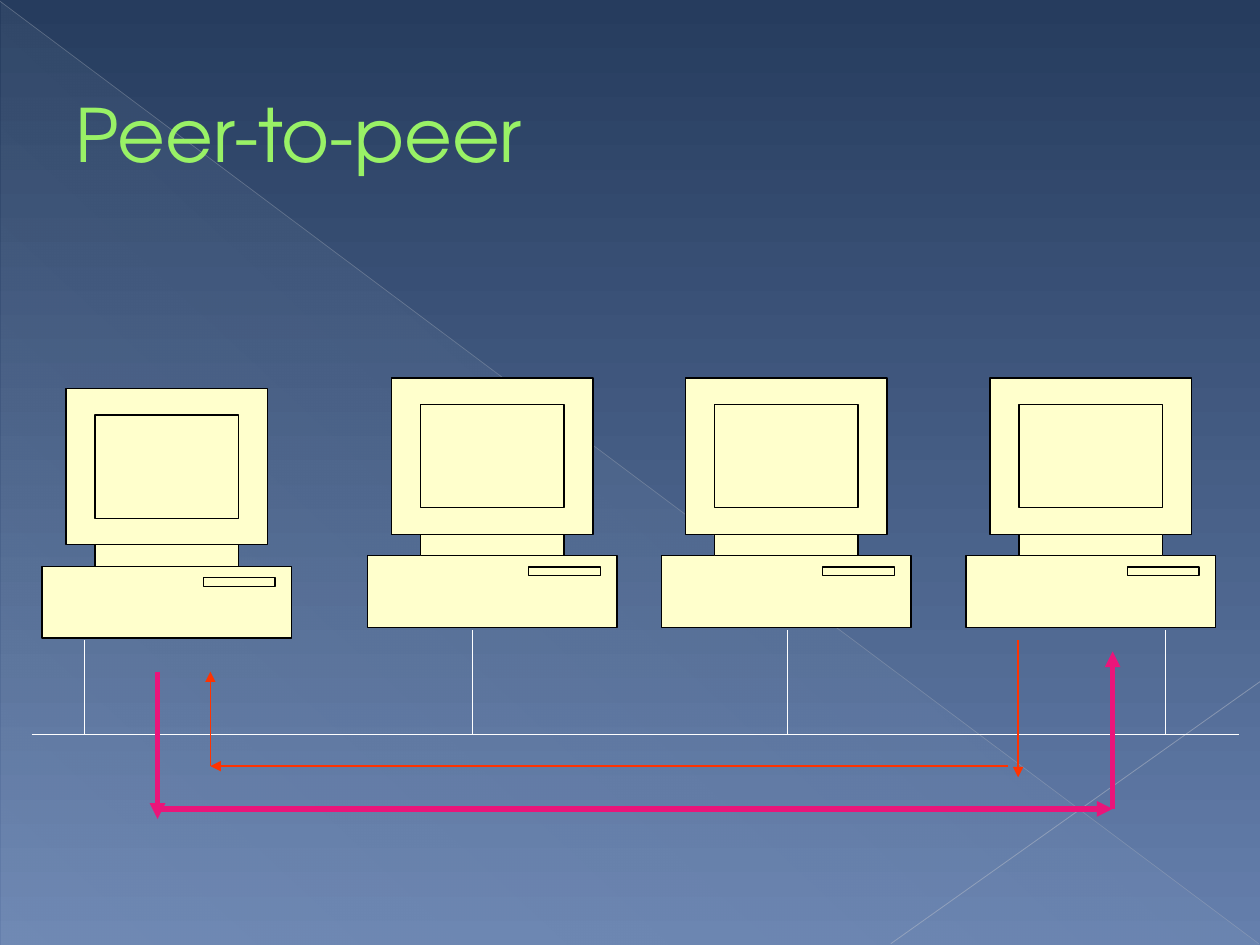
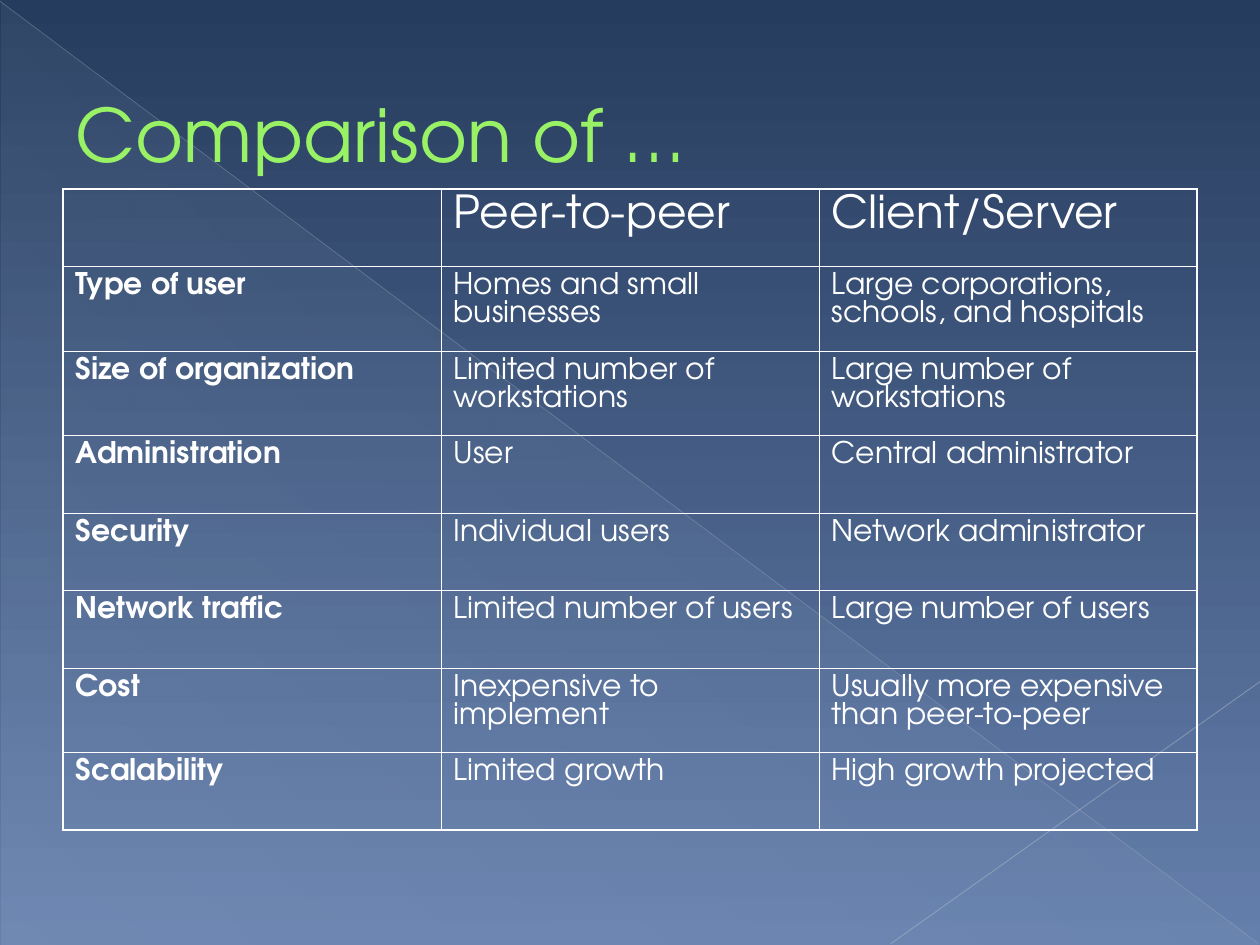
from lxml.etree import SubElement
from pptx import Presentation
from pptx.dml.color import RGBColor
from pptx.enum.shapes import MSO_CONNECTOR, MSO_SHAPE
from pptx.enum.text import MSO_ANCHOR, PP_ALIGN
from pptx.oxml.ns import qn
from pptx.util import Inches, Pt

FONT = "TeX Gyre Adventor"
HUES = {
    "navy": "263C5E", "steel": "657FAC", "sheen": "D6ECFF",
    "slant": "B6BCC5", "corner": "BFC3CC", "title": "99F166",
    "cream": "FFFFCC", "black": "000000", "white": "FFFFFF",
    "pink": "EA157A", "red": "FF3300",
}
HUES = {name: RGBColor.from_string(code) for name, code in HUES.items()}


def shade(fill, hues, angle):
    """Fill with a two-stop gradient; the angle runs counter-clockwise."""
    fill.gradient()
    fill.gradient_angle = angle
    for stop, hue in zip(fill.gradient_stops, hues):
        stop.color.rgb = HUES[hue]


def wire(slide, ends, hue, width, alpha=None, tip=False):
    """Draw a straight line through ends (x1, y1, x2, y2), in inches."""
    link = slide.shapes.add_connector(MSO_CONNECTOR.STRAIGHT, *map(Inches, ends))
    link.line.color.rgb = HUES[hue]
    link.line.width = Pt(width)
    props = link.element.spPr
    if alpha:
        SubElement(props.find(".//" + qn("a:srgbClr")), qn("a:alpha"), val=str(alpha * 1000))
    if tip:
        SubElement(props.find(qn("a:ln")), qn("a:tailEnd"), type="triangle")
    SubElement(props, qn("a:effectLst"))
    return link


deck = Presentation()
deck.slide_width, deck.slide_height = Inches(10), Inches(7.5)
shade(deck.slide_master.background.fill, ("navy", "steel"), 270)
layout = deck.slide_layouts[5]
for holder in list(layout.placeholders)[1:]:
    holder.element.getparent().remove(holder.element)

# Titles
slides = []
for text in ("Peer-to-peer", "Comparison of …"):
    slide = deck.slides.add_slide(layout)
    title = slide.shapes.title
    title.left, title.top = Inches(0.5), Inches(0.29)
    title.width, title.height = Inches(9), Inches(1.53)
    title.text_frame.text = text
    title.text_frame.vertical_anchor = MSO_ANCHOR.MIDDLE
    para = title.text_frame.paragraphs[0]
    para.alignment = PP_ALIGN.LEFT
    font = para.runs[0].font
    font.name, font.size = FONT, Pt(42)
    font.color.rgb = HUES["title"]
    slides.append(slide)
peers, compare = slides

# Backdrop, built once and moved to the shared layout
sheen = peers.shapes.add_shape(
    MSO_SHAPE.RIGHT_TRIANGLE, Inches(0.01), Inches(0.02), Inches(9.99), Inches(7.48))
sheen.shadow.inherit = False
sheen.line.fill.background()
shade(sheen.fill, ("sheen", "sheen"), 227)
for color, alpha in zip(sheen.element.spPr.iter(qn("a:srgbClr")), (1, 10)):
    SubElement(color, qn("a:alpha"), val=str(alpha * 1000))
slant = wire(peers, (0, 0.01, 9.99, 7.49), "slant", 0.4, alpha=35)
corner = wire(peers, (10, 5.41, 7.07, 7.49), "corner", 0.48, alpha=45)
for place, part in enumerate((sheen, slant, corner), start=2):
    layout.shapes.element.insert(place, part.element)

# Computers, placed on a grid of twelfths of an inch
case = [(1.56, 1.41), (1.56, 1.24), (1.79, 1.24), (1.79, 0), (0.19, 0), (0.19, 1.24),
        (0.42, 1.24), (0.42, 1.41), (0, 1.41), (0, 1.98), (1.98, 1.98), (1.98, 1.41)]
neck, screen, slot = [
    [(x1, y1), (x2, y1), (x2, y2), (x1, y2)]
    for x1, y1, x2, y2 in ((0.42, 1.24, 1.56, 1.41), (0.42, 0.21, 1.56, 1.03),
                           (1.28, 1.5, 1.85, 1.57))]
for left, top in ((4, 37), (35, 36), (63, 36), (92, 36)):
    pen = None
    for outline in (case, neck, screen, slot):
        start, *rest = [(Inches(left / 12 + x), Inches(top / 12 + y)) for x, y in outline]
        if pen:
            pen.move_to(*start)
        else:
            pen = peers.shapes.build_freeform(*start)
        pen.add_line_segments(rest, close=True)
    unit = pen.convert_to_shape()
    unit.shadow.inherit = False
    unit.fill.solid()
    unit.fill.fore_color.rgb = HUES["cream"]
    unit.line.color.rgb = HUES["black"]
    unit.line.width = Pt(0.75)
    # Give each outline its own fill, so that inner parts are not cut out
    whole = unit.element.find(".//" + qn("a:path"))
    group = whole.getparent()
    for node in list(whole):
        if node.tag == qn("a:moveTo"):
            piece = SubElement(group, whole.tag, dict(whole.attrib))
        piece.append(node)
    group.remove(whole)

# Network and message routes
wire(peers, (0.25, 5.83, 9.83, 5.83), "white", 0.75)
for ends in ((1.25, 5.33, 1.25, 6.5), (1.25, 6.42, 8.83, 6.42), (8.83, 6.42, 8.83, 5.17)):
    wire(peers, ends, "pink", 3, tip=True)
for ends in ((8.08, 5.08, 8.08, 6.17), (8, 6.08, 1.67, 6.08), (1.67, 6.08, 1.67, 5.33)):
    wire(peers, ends, "red", 0.75, tip=True)
for x, y in ((0.67, 5.08), (3.75, 5), (6.25, 5), (9.25, 5)):
    wire(peers, (x, y, x, 5.83), "white", 0.75)

# Comparison table
rows = [
    ("", "Peer-to-peer", "Client/Server"),
    ("Type of user", "Homes and small businesses",
     "Large corporations, schools, and hospitals"),
    ("Size of organization", "Limited number of workstations", "Large number of workstations"),
    ("Administration", "User", "Central administrator"),
    ("Security", "Individual users", "Network administrator"),
    ("Network traffic", "Limited number of users", "Large number of users"),
    ("Cost", "Inexpensive to implement", "Usually more expensive than peer-to-peer"),
    ("Scalability", "Limited growth", "High growth projected"),
]
total, high = 5.09, 0.67
tall = (1, 2, 6)
low = (total - high * len(tall)) / (len(rows) - len(tall))
grid = compare.shapes.add_table(
    len(rows), 3, Inches(0.5), Inches(1.5), Inches(9), Inches(total)).table
grid.first_row = grid.horz_banding = False
for r, row in enumerate(rows):
    grid.rows[r].height = Inches(high if r in tall else low)
    for c, text in enumerate(row):
        cell = grid.cell(r, c)
        cell.text_frame.text = text
        for run in cell.text_frame.paragraphs[0].runs:
            run.font.name = FONT
            run.font.size = Pt(17 if r else 26)
            run.font.bold = c == 0
            run.font.color.rgb = HUES["white"]
        props = cell._tc.get_or_add_tcPr()
        edges = {"lnL": c == 0, "lnR": c == 2, "lnT": r == 0, "lnB": r == len(rows) - 1}
        for side, outer in edges.items():
            edge = SubElement(props, qn("a:" + side), w=str(Pt(1.08 if outer else 0.45)))
            SubElement(SubElement(edge, qn("a:solidFill")), qn("a:srgbClr"),
                       val=str(HUES["white"]))
        cell.fill.background()

deck.save("out.pptx")
